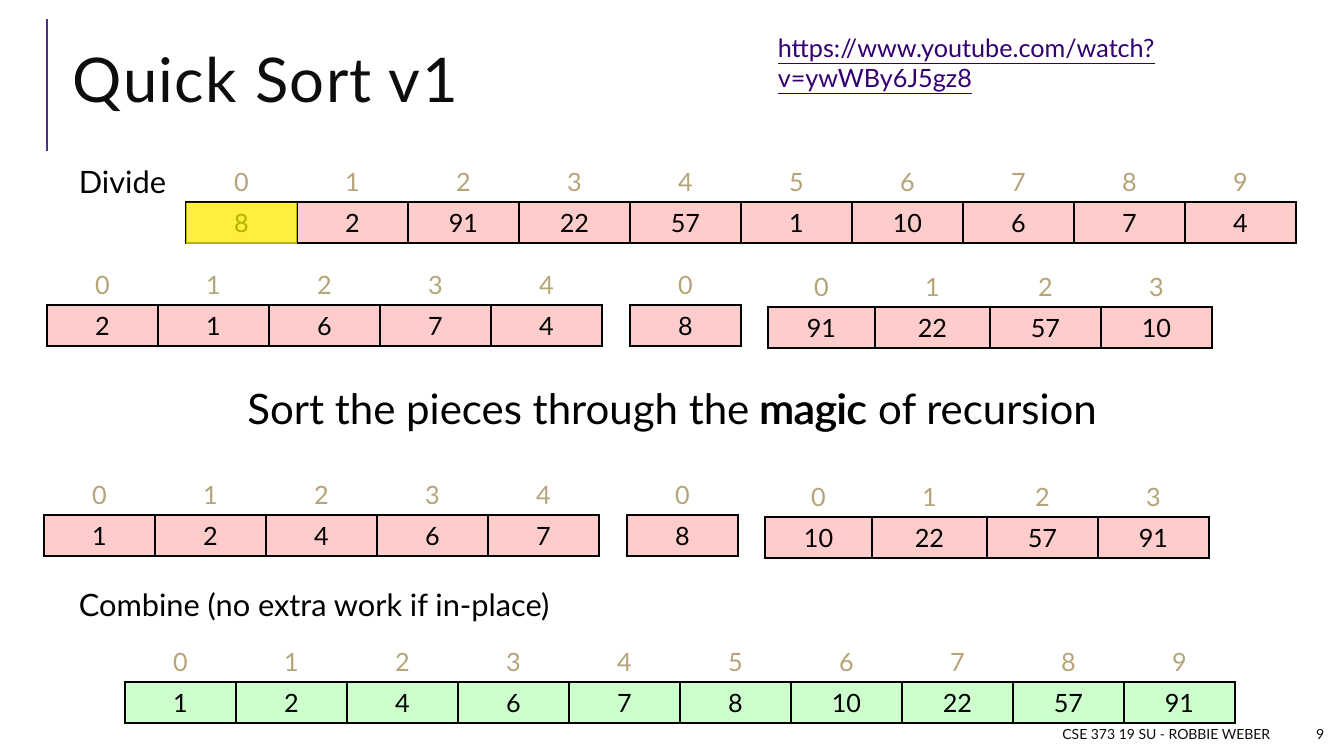
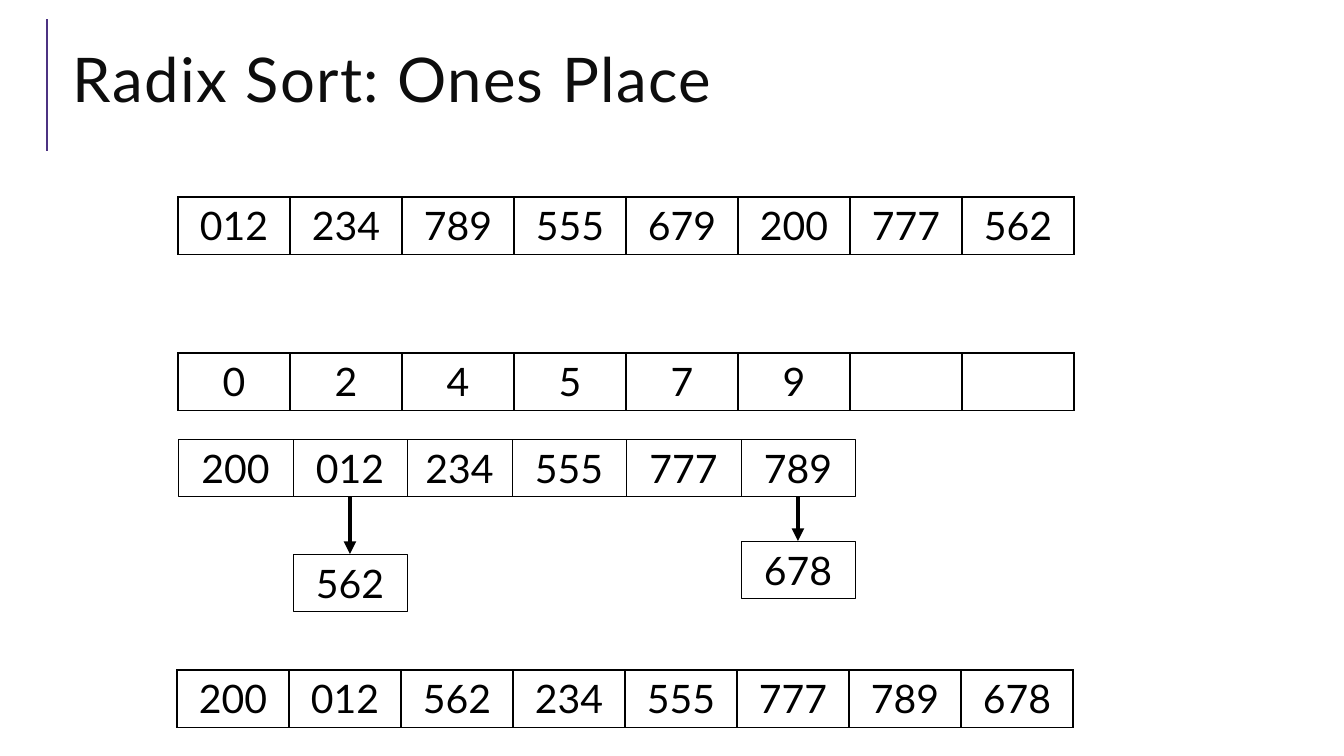
from lxml import etree
from pptx import Presentation
from pptx.dml.color import RGBColor
from pptx.enum.shapes import MSO_CONNECTOR, MSO_SHAPE
from pptx.enum.text import MSO_ANCHOR, PP_ALIGN
from pptx.oxml.ns import qn
from pptx.util import Emu, Pt

LEFT, CENTER, RIGHT = PP_ALIGN.LEFT, PP_ALIGN.CENTER, PP_ALIGN.RIGHT
TOP, MIDDLE = MSO_ANCHOR.TOP, MSO_ANCHOR.MIDDLE
STRAIGHT, RECTANGLE = MSO_CONNECTOR.STRAIGHT, MSO_SHAPE.RECTANGLE

PX_PER_INCH = 100.8
BLACK, WHITE, INK = "000000", "FFFFFF", "0D0D0D"
PURPLE, LINK, GOLD = "4C3282", "33006F", "B6A479"
PINK, GREEN, YELLOW = "FFCCCC", "CCFFCC", "FFFF00"


def px(length):
    return Emu(round(length * 914400 / PX_PER_INCH))


def color(hex_string):
    return RGBColor.from_string(hex_string)


class Deck:
    """Holds the shared style and the slide being built."""

    font = "Lato"

    def __init__(self):
        self.presentation = Presentation()
        self.presentation.slide_width = px(1344)
        self.presentation.slide_height = px(756)
        self.slide = None

    def new_slide(self, title):
        self.slide = self.presentation.slides.add_slide(
            self.presentation.slide_layouts[6])
        self.line(47, 151, 47, 19, PURPLE, 1.5)
        paragraph = self.text(title, 63, 29, 1233, 112, 44, INK, anchor=MIDDLE)
        paragraph.line_spacing = 0.8
        paragraph.runs[0]._r.get_or_add_rPr().set("spc", "100")

    def format(self, paragraph, size, ink, align):
        paragraph.alignment = align
        for run in paragraph.runs:
            run.font.name = self.font
            run.font.size = Pt(size)
            run.font.color.rgb = color(ink)

    def text(self, content, left, top, width, height, size, ink=BLACK,
             align=LEFT, anchor=TOP):
        box = self.slide.shapes.add_textbox(px(left), px(top), px(width), px(height))
        frame = box.text_frame
        frame.word_wrap = True
        frame.vertical_anchor = anchor
        frame.text = content
        self.format(frame.paragraphs[0], size, ink, align)
        return frame.paragraphs[0]

    def line(self, x1, y1, x2, y2, ink, weight, arrow=False):
        connector = self.slide.shapes.add_connector(
            STRAIGHT, px(x1), px(y1), px(x2), px(y2))
        connector.line.color.rgb = color(ink)
        connector.line.width = Pt(weight)
        if arrow:
            outline = connector.line._get_or_add_ln()
            etree.SubElement(outline, qn("a:tailEnd"), type="triangle")
        etree.SubElement(connector._element.spPr, qn("a:effectLst"))

    def rectangle(self, left, top, width, height):
        shape = self.slide.shapes.add_shape(
            RECTANGLE, px(left), px(top), px(width), px(height))
        shape.shadow.inherit = False
        return shape

    def highlight(self, left, top, width, height, opacity):
        shape = self.rectangle(left, top, width, height)
        shape.line.fill.background()
        shape.fill.solid()
        shape.fill.fore_color.rgb = color(YELLOW)
        tint = next(shape._element.spPr.iter(qn("a:srgbClr")))
        etree.SubElement(tint, qn("a:alpha"), val=str(opacity * 1000))

    def number_box(self, value, left, top, width):
        shape = self.rectangle(left, top, width, 57)
        shape.fill.background()
        shape.line.color.rgb = color(BLACK)
        shape.line.width = Pt(0.25)
        shape.text_frame.word_wrap = True
        shape.text_frame.text = value
        shape.text_frame.vertical_anchor = TOP
        self.format(shape.text_frame.paragraphs[0], 28, BLACK, CENTER)

    def table(self, rows, left, top, widths, row_height):
        frame = self.slide.shapes.add_table(
            rows, len(widths), px(left), px(top),
            px(sum(widths)), px(row_height * rows))
        table = frame.table
        table.first_row = table.horz_banding = False
        for column, width in zip(table.columns, widths):
            column.width = px(width)
        for row in table.rows:
            row.height = px(row_height)
        return table

    def borders(self, cell, sides):
        properties = cell._tc.get_or_add_tcPr()
        for side in "LRTB":
            edge = etree.SubElement(properties, qn(f"a:ln{side}"), w="12700")
            fill = etree.SubElement(edge, qn("a:solidFill"))
            etree.SubElement(fill, qn("a:srgbClr"),
                             val=BLACK if side in sides else WHITE)

    def cell(self, cell, value, size, ink, anchor, sides, fill=None):
        self.borders(cell, sides)
        if fill:
            cell.fill.solid()
            cell.fill.fore_color.rgb = color(fill)
        else:
            cell.fill.background()
        cell.vertical_anchor = anchor
        cell.text = value
        self.format(cell.text_frame.paragraphs[0], size, ink, CENTER)

    def indexed_array(self, values, left, top, fill=PINK, widths=None):
        """An array with its indices above the values."""
        table = self.table(2, left, top, widths or [111] * len(values), 41)
        for index, value in enumerate(values):
            self.cell(table.cell(0, index), str(index), 18, GOLD, MIDDLE, "B")
            self.cell(table.cell(1, index), str(value), 18, BLACK, MIDDLE,
                      "LRTB", fill)

    def plain_array(self, values, left, top):
        table = self.table(1, left, top, [112] * len(values), 57)
        for index, value in enumerate(values):
            self.cell(table.cell(0, index), value, 28, BLACK, TOP, "LRTB", WHITE)

    def footer(self, credit, number):
        for content, left, width in ((credit, 630, 650), (number, 1288, 46)):
            self.text(content, left, 719, width, 30, 10, INK, RIGHT, MIDDLE)


def quick_sort(deck):
    deck.new_slide("Quick Sort v1")
    deck.text("Divide", 69, 161, 110, 40, 22, anchor=MIDDLE)
    deck.text("Combine (no extra work if in-place)", 69, 584, 700, 40, 22,
              anchor=MIDDLE)
    deck.footer("CSE 373 19 SU - ROBBIE WEBER", "9")

    # Whole array with its pivot marked
    deck.indexed_array([8, 2, 91, 22, 57, 1, 10, 6, 7, 4], 186, 161)
    deck.highlight(186, 203, 111, 41, 70)

    # Pieces before and after the recursive sort
    pieces = (
        (47, 264, [2, 1, 6, 7, 4], [91, 22, 57, 10]),
        (44, 474, [1, 2, 4, 6, 7], [10, 22, 57, 91]),
    )
    for left, top, smaller, larger in pieces:
        deck.indexed_array(smaller, left, top)
        deck.indexed_array([8], left + 583, top)
        deck.indexed_array(larger, left + 721, top + 2,
                           widths=[107, 115, 111, 111])

    # Combined result
    deck.indexed_array([1, 2, 4, 6, 7, 8, 10, 22, 57, 91], 125, 641, GREEN)

    # Web address and recursion message, with one word doubled for weight
    address = deck.text("https://www.youtube.com/watch?v=ywWBy6J5gz8",
                        768, 27, 576, 72, 18, LINK)
    address.runs[0].font.underline = True
    deck.text("Sort the pieces through the magic of recursion",
              60, 378, 1225, 61, 30, align=CENTER)
    deck.text("magic", 749, 378, 140, 61, 30)


def radix_sort(deck):
    deck.new_slide("Radix Sort: Ones Place")

    # Input, digits found and output
    deck.plain_array(["012", "234", "789", "555", "679", "200", "777", "562"],
                     178, 197)
    deck.plain_array(["0", "2", "4", "5", "7", "9", "", ""], 178, 353)
    deck.plain_array(["200", "012", "562", "234", "555", "777", "789", "678"],
                     177, 670)

    # Buckets, with the top of any chained value
    buckets = (
        ("200", 115, None), ("012", 114, ("562", 554)), ("234", 105, None),
        ("555", 114, None), ("777", 115, None), ("789", 114, ("678", 541)),
    )
    left, top = 178, 439
    for value, width, chained in buckets:
        deck.number_box(value, left, top, width)
        if chained:
            next_value, next_top = chained
            deck.number_box(next_value, left, next_top, width)
            middle = left + width // 2
            deck.line(middle, top + 58, middle, next_top, BLACK, 3, arrow=True)
        left += width


def main():
    deck = Deck()
    quick_sort(deck)
    radix_sort(deck)
    deck.presentation.save("out.pptx")


if __name__ == "__main__":
    main()
